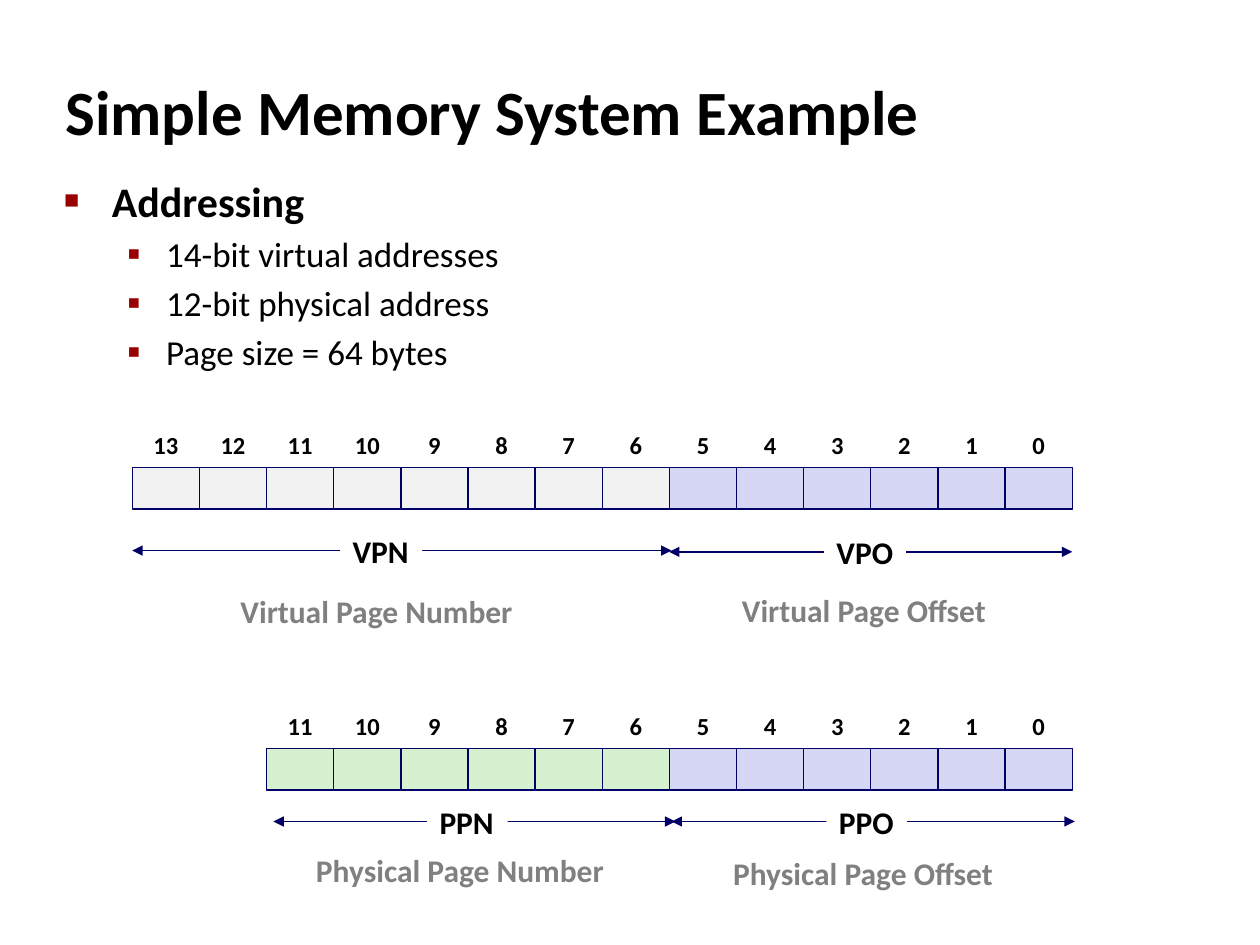
from lxml import etree
from pptx import Presentation
from pptx.dml.color import RGBColor as Rgb
from pptx.enum.shapes import MSO_CONNECTOR as Conn, MSO_SHAPE as Shape
from pptx.enum.text import MSO_ANCHOR as Anchor, MSO_AUTO_SIZE as Auto, PP_ALIGN as Align
from pptx.oxml.ns import qn
from pptx.util import Inches, Pt

COLORS = {
    "text": "000000", "note": "808080", "line": "000066", "bullet": "990000",
    "white": "FFFFFF", "virtual": "F2F2F2", "physical": "D5F1CF", "offset": "D6D6F5",
}
TOP_BIT, SPLIT = 13, 6
LEFT, STEP, CELL = 1.05, 7.46 / 14, 0.33


def color(name):
    return Rgb.from_string(COLORS[name])


def sub(parent, tag, **attrs):
    return etree.SubElement(parent, qn(tag), attrs)


class Deck:
    font = "Calibri"

    def __init__(self, wide, high):
        self.prs = Presentation()
        self.prs.slide_width, self.prs.slide_height = Inches(wide), Inches(high)
        self.slide = self.prs.slides.add_slide(self.prs.slide_layouts[5])

    def style(self, para, size, bold=True, ink="text", **format):
        for key, value in format.items():
            setattr(para, key, value)
        for key, value in {"name": self.font, "size": Pt(size), "bold": bold}.items():
            setattr(para.font, key, value)
        para.font.color.rgb = color(ink)

    def title(self, text, box):
        shape = self.slide.shapes.title
        for key, value in zip(("left", "top", "width", "height"), box):
            setattr(shape, key, Inches(value))
        frame = shape.text_frame
        frame.text = text
        frame.auto_size, frame.vertical_anchor = Auto.NONE, Anchor.MIDDLE
        self.style(frame.paragraphs[0], 36, alignment=Align.LEFT)

    def bullets(self, items, box):
        frame = self.slide.shapes.add_textbox(*map(Inches, box)).text_frame
        frame.word_wrap = True
        for i, (text, level) in enumerate(items):
            para = frame.add_paragraph() if i else frame.paragraphs[0]
            para.text = text
            mark, scale, margin, hang, size = (
                ("▪", 110, 0.81, 0.31, 20) if level else ("■", 60, 0.38, 0.38, 24))
            props = para._p.get_or_add_pPr()
            props.set("marL", str(Inches(margin)))
            props.set("indent", str(-Inches(hang)))
            sub(sub(props, "a:buClr"), "a:srgbClr", val=COLORS["bullet"])
            sub(props, "a:buSzPct", val=str(scale * 1000))
            sub(props, "a:buFont", typeface="Arial")
            sub(props, "a:buChar", char=mark)
            self.style(para, size, bold=not level, level=level,
                       space_before=Pt(4 if i else 0))

    def label(self, text, box, size=18, ink="text", fill=None,
              align=Align.LEFT, anchor=Anchor.TOP, home=None):
        shape = (home or self.slide).shapes.add_textbox(*map(Inches, box))
        if fill:
            shape.fill.solid()
            shape.fill.fore_color.rgb = color(fill)
        frame = shape.text_frame
        frame.text = text
        frame.word_wrap, frame.vertical_anchor = False, anchor
        self.style(frame.paragraphs[0], size, ink=ink, alignment=align, line_spacing=0.88)

    def cell(self, left, top, fill):
        shape = self.slide.shapes.add_shape(
            Shape.RECTANGLE, *map(Inches, (left, top, STEP, CELL)))
        shape.shadow.inherit = False
        shape.fill.solid()
        shape.fill.fore_color.rgb = color(fill)
        shape.line.color.rgb = color("line")
        shape.line.width = Pt(0.75)

    def bits(self, count, top, fill):
        for bit in reversed(range(count)):
            left = LEFT + (TOP_BIT - bit) * STEP
            self.cell(left, top, fill if bit >= SPLIT else "offset")
            self.label(str(bit), (left, top - CELL, STEP, CELL), 14,
                       align=Align.CENTER, anchor=Anchor.MIDDLE)

    def span(self, text, start, end, y, left, width):
        group = self.slide.shapes.add_group_shape()
        line = group.shapes.add_connector(
            Conn.STRAIGHT, *map(Inches, (start, y, end, y)))
        line.line.color.rgb = color("line")
        line.line.width = Pt(0.75)
        for tag in ("a:headEnd", "a:tailEnd"):
            sub(line.line._get_or_add_ln(), tag, type="triangle")
        sub(line._element.spPr, "a:effectLst")
        self.label(text, (left, y - 0.16, width, 0.36), fill="white", home=group)


def main():
    deck = Deck(10, 7.5)

    # Title and facts
    deck.title("Simple Memory System Example", (0.42, 0.56, 7.99, 0.63))
    deck.bullets([
        ("Addressing", 0),
        ("14-bit virtual addresses", 1),
        ("12-bit physical address", 1),
        ("Page size = 64 bytes", 1),
    ], (0.41, 1.34, 9.09, 1.73))

    # Virtual and physical address bits
    deck.bits(14, 3.71, "virtual")
    deck.bits(12, 5.94, "physical")

    # Field spans
    for span in [
        ("VPO", 5.31, 8.51, 4.38, 6.54, 0.65),
        ("PPO", 5.33, 8.53, 6.52, 6.56, 0.64),
        ("PPN", 2.17, 5.36, 6.52, 3.39, 0.64),
        ("VPN", 1.05, 5.33, 4.37, 2.70, 0.65),
    ]:
        deck.span(*span)

    # Field names
    for text, left, top, width in [
        ("Virtual Page Number", 1.81, 4.69, 2.38),
        ("Virtual Page Offset", 5.79, 4.68, 2.16),
        ("Physical Page Number", 2.41, 6.74, 2.5),
        ("Physical Page Offset", 5.72, 6.77, 2.29),
    ]:
        deck.label(text, (left, top, width, 0.36), ink="note")

    deck.prs.save("out.pptx")


if __name__ == "__main__":
    main()
